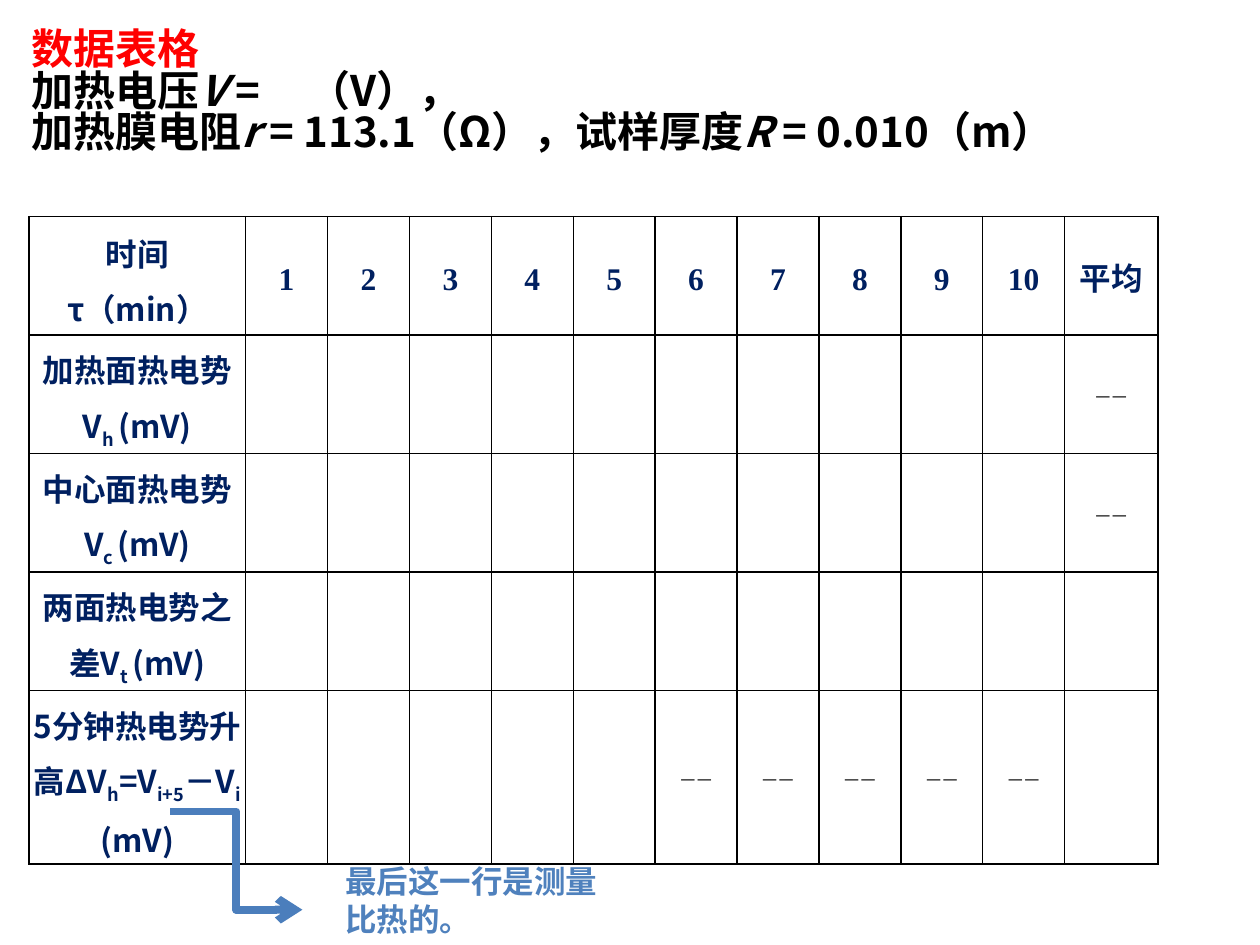
from lxml.etree import SubElement
from pptx import Presentation
from pptx.dml.color import RGBColor
from pptx.enum.shapes import MSO_CONNECTOR as Connector
from pptx.enum.text import MSO_ANCHOR as Anchor, MSO_AUTO_SIZE as AutoSize, PP_ALIGN as Align
from pptx.oxml.ns import qn
from pptx.util import Inches, Pt

COLORS = {"red": "FF0000", "black": "000000", "white": "FFFFFF",
          "navy": "002060", "blue": "4F81BD", "arrow": "4B7EBC"}
SANS, LATIN, SERIF = "Noto Sans CJK SC", "Calibri", "Times New Roman"
DASH = "——"
HEADING = [
    [("数据表格", "")],
    [("加热电压", ""), ("V ", "italic"), ("=\t（V），", "")],
    [("加热膜电阻", ""), ("r ", "italic"), ("= 113.1（Ω），试样厚度", ""),
     ("R ", "italic"), ("= 0.010（m）", "")],
]
TIME_LABEL = [[("时间", "")], [("τ（min）", "")]]
ROW_LABELS = [
    [("加热面热电势V", ""), ("h ", "sub"), ("(mV)", "")],
    [("中心面热电势V", ""), ("c ", "sub"), ("(mV)", "")],
    [("两面热电势之差V", ""), ("t ", "sub"), ("(mV)", "")],
    [("5分钟热电势升高ΔV", ""), ("h", "sub"), ("=V", ""), ("i+5", "sub"),
     ("－V", ""), ("i ", "sub"), ("(mV)", "")],
]
DASH_CELLS = [(1, 11), (2, 11)] + [(4, column) for column in range(6, 11)]


def rgb(name):
    """Return the named colour."""
    return RGBColor.from_string(COLORS[name])


def write(frame, paragraphs, size, font, color, bold=True, align=Align.LEFT, spacing=1.0):
    """Fill a text frame with paragraphs of (text, style) spans."""
    for index, spans in enumerate(paragraphs):
        para = frame.add_paragraph() if index else frame.paragraphs[0]
        para.alignment, para.line_spacing = align, spacing
        for text, style in spans:
            span = para.add_run()
            span.text = text
            span.font.size, span.font.name = Pt(size), font
            span.font.bold, span.font.italic = bold, style == "italic"
            span.font.color.rgb = rgb(color)
            properties = span.font._element
            SubElement(properties, qn("a:ea")).set("typeface", font)
            if style == "sub":
                properties.set("baseline", "-25000")


def add_heading(page):
    """Place the heading lines in the title placeholder."""
    box = page.shapes.title
    box.left, box.top, box.width, box.height = map(Inches, (0.15, 0.09, 8.34, 1.31))
    frame = box.text_frame
    frame.word_wrap, frame.auto_size = True, AutoSize.NONE
    frame.vertical_anchor = Anchor.MIDDLE
    write(frame, HEADING, 24, SANS, "black", spacing=0.82)
    frame.paragraphs[0].runs[0].font.color.rgb = rgb("red")
    tabs = SubElement(frame.paragraphs[1]._p.get_or_add_pPr(), qn("a:tabLst"))
    stop = SubElement(tabs, qn("a:tab"))
    stop.set("pos", str(Inches(2.2)))
    stop.set("algn", "l")


def style_cell(cell):
    """Give a cell black borders, a white fill and its margins."""
    cell.vertical_anchor = Anchor.MIDDLE
    cell.margin_left = cell.margin_right = Inches(0.07)
    cell.margin_top = cell.margin_bottom = 0
    properties = cell._tc.get_or_add_tcPr()
    for side in ("lnL", "lnR", "lnT", "lnB"):
        line = SubElement(properties, qn(f"a:{side}"), w=str(Pt(1)))
        fill = SubElement(line, qn("a:solidFill"))
        SubElement(fill, qn("a:srgbClr"), val=COLORS["black"])
    cell.fill.solid()
    cell.fill.fore_color.rgb = rgb("white")


def write_cell(cell, paragraphs, size=18, font=SANS, color="navy", bold=True):
    """Write centred text into a table cell."""
    write(cell.text_frame, paragraphs, size, font, color, bold, Align.CENTER, 1.2)


def add_data_table(page):
    """Add the measurement table."""
    table = page.shapes.add_table(5, 12, Inches(0.23), Inches(1.72),
                                  Inches(8.98), Inches(4.7)).table
    table.first_row = table.horz_banding = False
    for column, width in zip(table.columns, [1.72] + [0.65] * 10 + [0.74]):
        column.width = Inches(width)
    for row in table.rows:
        row.height = Inches(0.94)
    for cell in table.iter_cells():
        style_cell(cell)
    write_cell(table.cell(0, 0), TIME_LABEL)
    for minute in range(1, 11):
        write_cell(table.cell(0, minute), [[(str(minute), "")]], font=SERIF)
    write_cell(table.cell(0, 11), [[("平均", "")]], font=LATIN)
    for row, label in enumerate(ROW_LABELS, 1):
        write_cell(table.cell(row, 0), [label])
    for row, column in DASH_CELLS:
        write_cell(table.cell(row, column), [[(DASH, "")]], 10.5, LATIN, "black", False)
    last_label = table.cell(4, 0)
    last_label.margin_left = last_label.margin_right = 0


def add_elbow_arrow(page):
    """Add the bent arrow from the last row to the note."""
    arrow = page.shapes.add_connector(Connector.ELBOW, Inches(1.35), Inches(6.44),
                                      Inches(2.4), Inches(7.22))
    arrow.line.color.rgb = rgb("arrow")
    arrow.line.width = Pt(4.5)
    SubElement(arrow.line._get_or_add_ln(), qn("a:tailEnd"), type="arrow")
    SubElement(arrow._element.spPr, qn("a:effectLst"))


def add_note(page):
    """Add the note about the last row."""
    box = page.shapes.add_textbox(Inches(2.64), Inches(6.79), Inches(2.42), Inches(0.71))
    box.text_frame.word_wrap = True
    write(box.text_frame, [[("最后这一行是测量比热的。", "")]], 18, LATIN, "blue")


def main():
    """Build the slide and save it."""
    deck = Presentation()
    deck.slide_width, deck.slide_height = Inches(10), Inches(7.5)
    page = deck.slides.add_slide(deck.slide_layouts[5])
    add_data_table(page)
    add_heading(page)
    add_elbow_arrow(page)
    add_note(page)
    deck.save("out.pptx")


if __name__ == "__main__":
    main()
